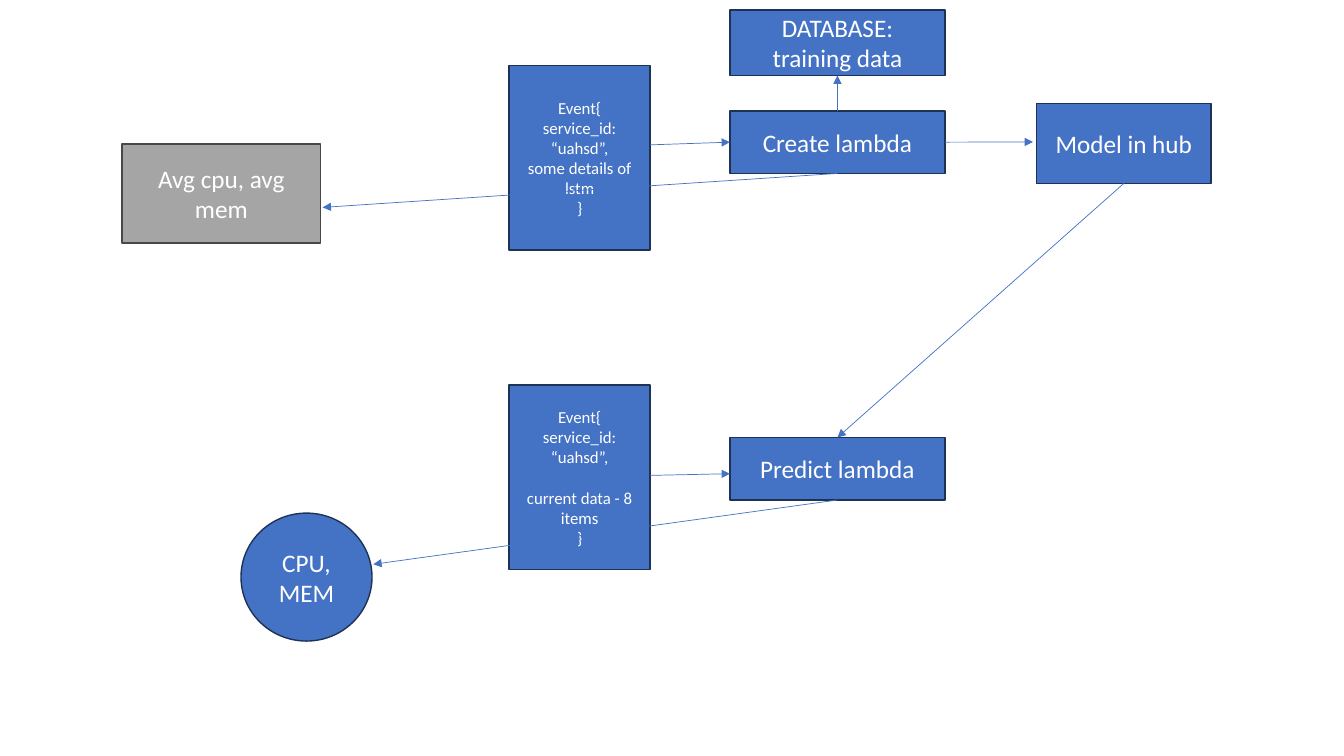
from lxml.etree import SubElement
from pptx import Presentation
from pptx.dml.color import RGBColor
from pptx.enum.shapes import MSO_CONNECTOR, MSO_SHAPE
from pptx.enum.text import MSO_ANCHOR, PP_ALIGN
from pptx.oxml.ns import qn
from pptx.util import Inches, Pt

SLIDE_WIDTH, SLIDE_HEIGHT = Inches(13.33), Inches(7.5)
COLUMNS = ROWS = 100
BLUE = RGBColor(0x44, 0x72, 0xC4)
NAVY = RGBColor(0x1E, 0x32, 0x56)
GREY = RGBColor(0xA5, 0xA5, 0xA5)
DARK_GREY = RGBColor(0x48, 0x48, 0x48)
WHITE = RGBColor(0xFF, 0xFF, 0xFF)

LAMBDA_LEFT, LAMBDA_WIDTH, LAMBDA_HEIGHT = 54.31, 16, 8.27
EVENT_LEFT, EVENT_WIDTH, EVENT_HEIGHT = 37.88, 10.5, 24.4
EVENT_START = "Event{\vservice_id: “uahsd”,"


def across(columns):
    """Turn grid columns into a length."""
    return round(SLIDE_WIDTH * columns / COLUMNS)


def down(rows):
    """Turn grid rows into a length."""
    return round(SLIDE_HEIGHT * rows / ROWS)


def write_text(box, paragraphs, size=18, color=WHITE, font="Calibri", gap=0):
    """Fill a box with centred paragraphs, gap points apart."""
    frame = box.text_frame
    frame.word_wrap = True
    frame.vertical_anchor = MSO_ANCHOR.MIDDLE
    for index, text in enumerate(paragraphs):
        para = frame.add_paragraph() if index else frame.paragraphs[0]
        para.text = text
        para.alignment = PP_ALIGN.CENTER
        para.space_before = Pt(gap if index else 0)
        for span in para.runs:
            span.font.size = Pt(size)
            span.font.name = font
            span.font.color.rgb = color


def add_node(page, left, top, width, height, *paragraphs,
             kind=MSO_SHAPE.RECTANGLE, fill=BLUE, outline=NAVY, **text_format):
    """Add a labelled shape placed in grid columns and rows."""
    box = page.shapes.add_shape(
        kind, across(left), down(top), across(width), down(height))
    box.shadow.inherit = False
    box.fill.solid()
    box.fill.fore_color.rgb = fill
    box.line.color.rgb = outline
    box.line.width = Pt(1)
    write_text(box, paragraphs, **text_format)
    return box


def add_event(page, top, *paragraphs, gap=0):
    """Add an event payload box in the event column."""
    return add_node(page, EVENT_LEFT, top, EVENT_WIDTH, EVENT_HEIGHT,
                    *paragraphs, size=12, gap=gap)


def add_lambda(page, top, label):
    """Add a function box in the lambda column."""
    return add_node(page, LAMBDA_LEFT, top, LAMBDA_WIDTH, LAMBDA_HEIGHT, label)


def spot(box, share_x, share_y):
    """Find a point by its shares of a box's width and height."""
    return (round(box.left + box.width * share_x),
            round(box.top + box.height * share_y))


def add_arrow(page, start, end):
    """Add a thin arrow between two points."""
    arrow = page.shapes.add_connector(MSO_CONNECTOR.STRAIGHT, *start, *end)
    arrow.line.color.rgb = BLUE
    arrow.line.width = Pt(0.5)
    SubElement(arrow.line._get_or_add_ln(), qn("a:tailEnd"), type="triangle")
    SubElement(arrow._element.spPr, qn("a:effectLst"))


def main():
    """Build the training and prediction flow."""
    deck = Presentation()
    deck.slide_width, deck.slide_height = SLIDE_WIDTH, SLIDE_HEIGHT
    page = deck.slides.add_slide(deck.slide_layouts[6])

    create = add_lambda(page, 14.67, "Create lambda")
    predict = add_lambda(page, 57.87, "Predict lambda")
    training_event = add_event(
        page, 8.67, EVENT_START + "\vsome details of lstm\v}")
    current_event = add_event(
        page, 50.93, EVENT_START, "current data - 8 items\v}", gap=14.4)
    database = add_node(page, LAMBDA_LEFT, 1.33, LAMBDA_WIDTH, 8.67,
                        "DATABASE: training data")
    model = add_node(page, 77.12, 13.73, 13, 10.53, "Model in hub")
    forecast = add_node(page, 17.93, 67.87, 9.75, 16.93, "CPU, MEM",
                        kind=MSO_SHAPE.OVAL)
    averages = add_node(page, 9.08, 19.07, 14.78, 13.07, "Avg cpu, avg mem",
                        fill=GREY, outline=DARK_GREY)

    for start, end in (
        (spot(training_event, 1, 0.43), spot(create, 0, 0.5)),
        (spot(create, 0.5, 0), spot(database, 0.5, 1)),
        (spot(create, 1, 0.5), spot(model, -0.02, 0.48)),
        (spot(current_event, 1, 0.49), spot(predict, 0, 0.58)),
        (spot(model, 0.5, 1), spot(predict, 0.5, 0)),
        (spot(predict, 0.5, 1), spot(forecast, 1.01, 0.4)),
        (spot(create, 0.5, 1), spot(averages, 1.01, 0.64)),
    ):
        add_arrow(page, start, end)

    deck.save("out.pptx")


main()
